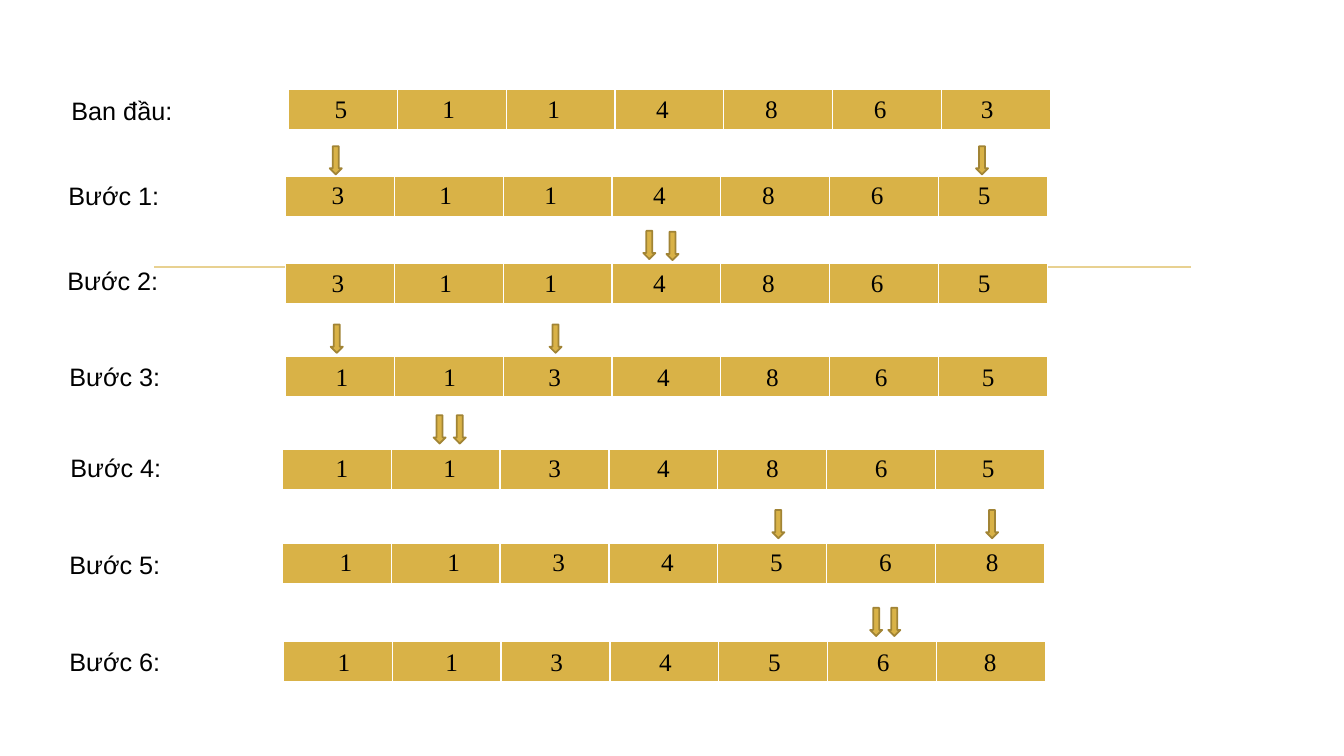
"""Build a slide tracing the steps of partitioning an array."""
from lxml import etree
from pptx import Presentation
from pptx.dml.color import RGBColor
from pptx.enum.shapes import MSO_CONNECTOR, MSO_SHAPE
from pptx.enum.text import MSO_AUTO_SIZE
from pptx.oxml.ns import qn
from pptx.util import Inches, Pt

# label, (label left, top), values, (table left, top), (first digit left, top)
STEPS = [
    ("Ban đầu:", (0.61, 0.9), "5114863", (2.86, 0.89), (3.22, 0.88)),
    ("Bước 1:", (0.58, 1.74), "3114865", (2.83, 1.75), (3.19, 1.73)),
    ("Bước 2:", (0.57, 2.58), "3114865", (2.83, 2.61), (3.19, 2.6)),
    ("Bước 3:", (0.59, 3.54), "1134865", (2.83, 3.54), (3.23, 3.54)),
    ("Bước 4:", (0.6, 4.44), "1134865", (2.8, 4.46), (3.23, 4.44)),
    ("Bước 5:", (0.59, 5.4), "1134568", (2.8, 5.39), (3.27, 5.37)),
    ("Bước 6:", (0.59, 6.36), "1134568", (2.81, 6.36), (3.25, 6.36)),
]
ARROWS = [
    (3.27, 1.45), (9.68, 1.45), (6.38, 2.29), (6.61, 2.3),
    (3.28, 3.22), (5.45, 3.22), (4.3, 4.12), (4.5, 4.12),
    (7.66, 5.06), (9.78, 5.06), (8.63, 6.03), (8.81, 6.03),
]
DIGIT_OFFSETS = (0, 1.07, 2.11, 3.19, 4.27, 5.35, 6.41)
CELL_WIDTH, ROW_HEIGHT = 1.08, 0.41
GOLD, DARK_GOLD, PALE_GOLD = "D9B247", "A18435", "E8D191"
BORDERS = {"a:lnL": 1, "a:lnR": 1, "a:lnT": 1, "a:lnB": 3}


def color(hex_string):
    return RGBColor.from_string(hex_string)


def add_text(slide, text, left, top, width, font_name):
    box = slide.shapes.add_textbox(Inches(left), Inches(top), Inches(width), Inches(0.4))
    frame = box.text_frame
    frame.word_wrap = True
    frame.auto_size = MSO_AUTO_SIZE.SHAPE_TO_FIT_TEXT
    frame.text = text
    font = frame.paragraphs[0].runs[0].font
    font.name, font.size = font_name, Pt(18)
    font.color.rgb = color("000000")


def style_cell(cell):
    properties = cell._tc.get_or_add_tcPr()
    for tag, points in BORDERS.items():
        border = etree.SubElement(properties, qn(tag), w=str(Pt(points)))
        fill = etree.SubElement(border, qn("a:solidFill"))
        etree.SubElement(fill, qn("a:srgbClr"), val="FFFFFF")
    cell.fill.solid()
    cell.fill.fore_color.rgb = color(GOLD)


def add_array(slide, values, table_at, digits_at):
    left, top = table_at
    table = slide.shapes.add_table(
        1, len(values), Inches(left), Inches(top),
        Inches(CELL_WIDTH * len(values)), Inches(ROW_HEIGHT)).table
    for cell in table.iter_cells():
        style_cell(cell)
    left, top = digits_at
    for value, offset in zip(values, DIGIT_OFFSETS):
        add_text(slide, value, left + offset, top, 0.53, "Times New Roman")


def add_down_arrow(slide, left, top):
    arrow = slide.shapes.add_shape(
        MSO_SHAPE.DOWN_ARROW, Inches(left), Inches(top), Inches(0.12), Inches(0.28))
    arrow.shadow.inherit = False
    arrow.fill.solid()
    arrow.fill.fore_color.rgb = color(GOLD)
    arrow.line.color.rgb = color(DARK_GOLD)
    arrow.line.width = Pt(1.25)


def add_divider(slide):
    divider = slide.shapes.add_connector(
        MSO_CONNECTOR.STRAIGHT, Inches(1.53), Inches(2.65), Inches(11.81), Inches(2.65))
    divider.line.color.rgb = color(PALE_GOLD)
    divider.line.width = Pt(1.25)
    etree.SubElement(divider._element.spPr, qn("a:effectLst"))


def main():
    presentation = Presentation()
    presentation.slide_width, presentation.slide_height = Inches(13.33), Inches(7.5)
    slide = presentation.slides.add_slide(presentation.slide_layouts[6])
    add_divider(slide)
    for label, label_at, values, table_at, digits_at in STEPS:
        add_array(slide, values, table_at, digits_at)
        add_text(slide, label, *label_at, 1.61, "Arial")
    for left, top in ARROWS:
        add_down_arrow(slide, left, top)
    presentation.save("out.pptx")


if __name__ == "__main__":
    main()
